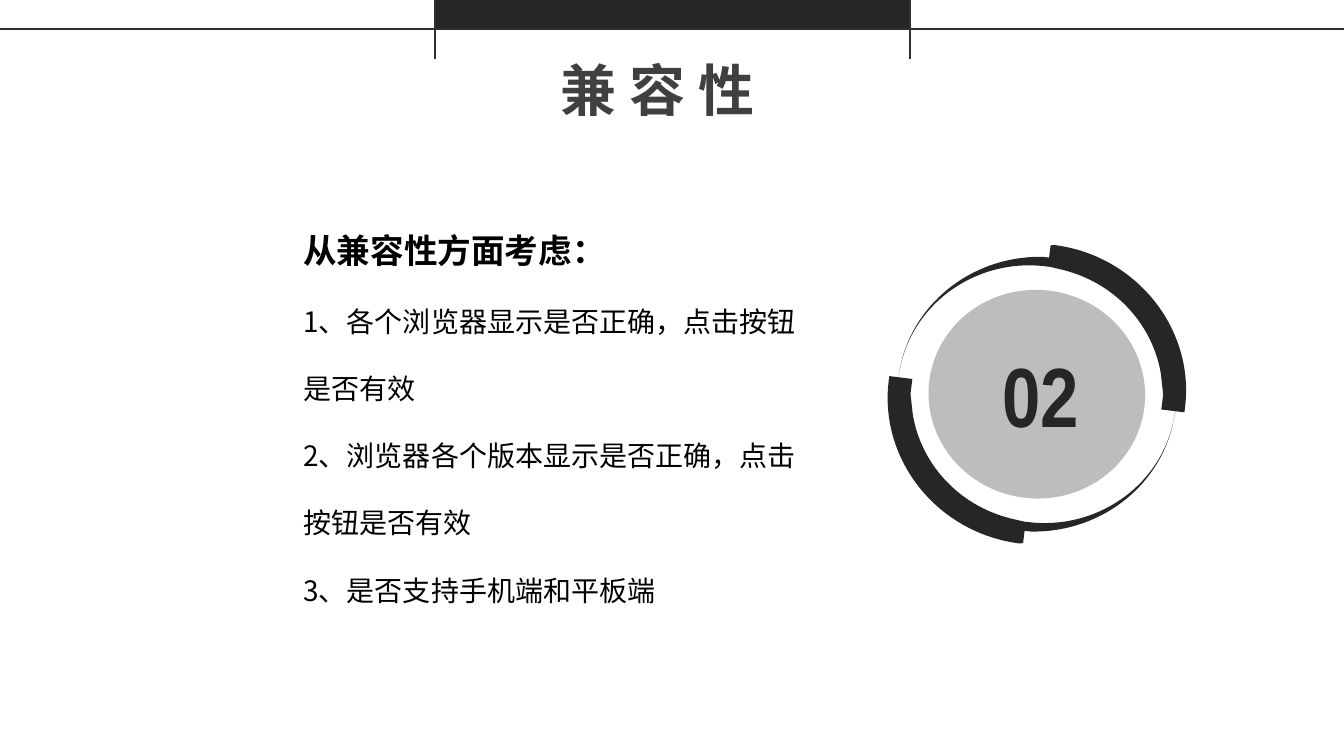
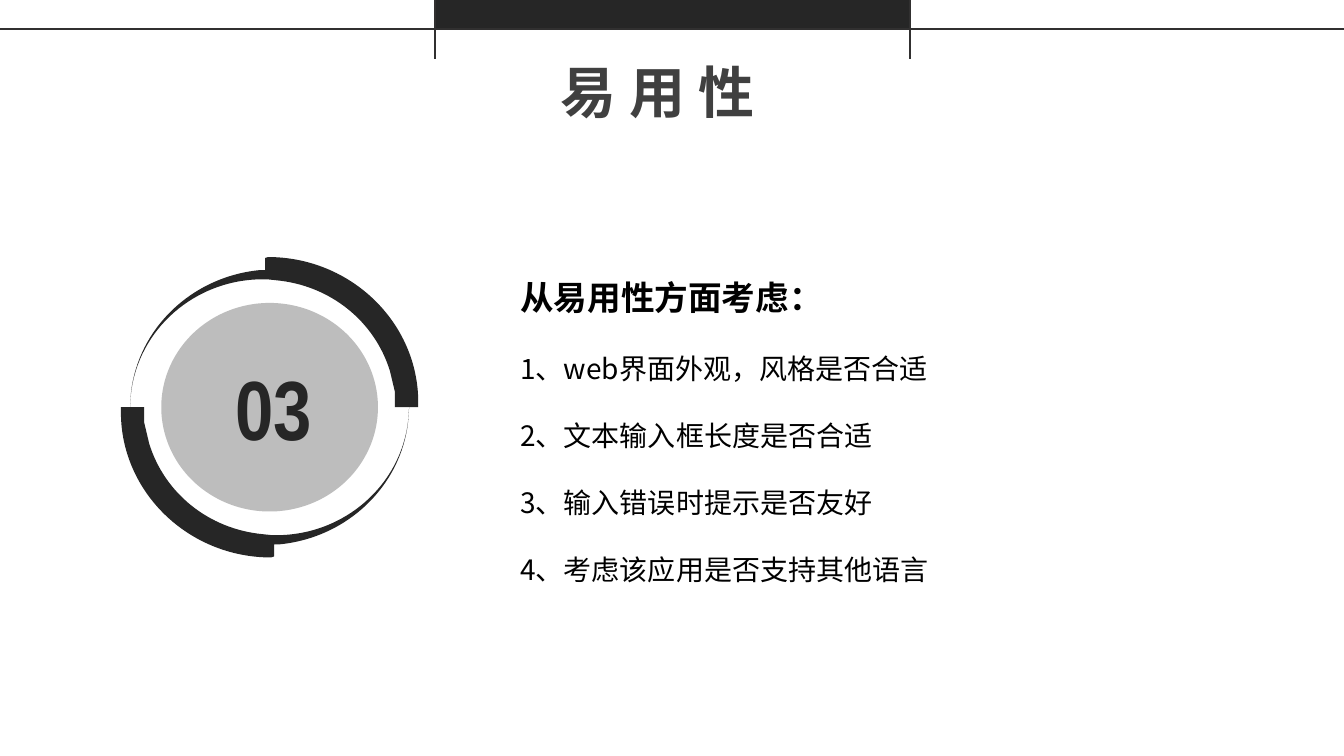
from math import cos, radians, sin

from lxml import etree
from pptx import Presentation
from pptx.dml.color import RGBColor
from pptx.enum.shapes import MSO_CONNECTOR as Connector, MSO_SHAPE as Shape
from pptx.enum.text import MSO_ANCHOR as Anchor, MSO_AUTO_SIZE as AutoSize, PP_ALIGN as Align
from pptx.oxml.ns import qn
from pptx.util import Pt

# Shared look
SLIDE_W, SLIDE_H = 960.12, 540
DARK, RULE, TITLE, BLACK = "262626", "313030", "404040", "000000"
CJK, NARROW = "Noto Sans CJK SC", "Arial Narrow"
BAND_LEFT, BAND_RIGHT, BAND_H = 310.6, 650.4, 21

# Upper arm of the ring, relative to its centre:
# one point is a straight step, three points are a cubic curve
ARM_START = (-1.1, -107.3)
ARM_STEPS = [
    [(58, -107.3), (106.2, -60.5), (106.2, -3.6)],
    [(106.2, 0)], [(89.6, 0)], [(89.6, -2.9)], [(89.6, -10.8)], [(86, -25.9)],
    [(75.2, -61.2), (43.6, -87.1), (4.7, -90.7)],
    [(-1.8, -91.4)], [(-3.2, -91.4)], [(-4.7, -91.4)],
    [(-53.6, -91.4), (-94, -55.4), (-99, -9.4)],
    [(-99.7, 0)], [(-99, -10.1)],
    [(-94, -56.2), (-55.8, -92.9), (-7.6, -97.9)],
    [(-3.2, -97.9)], [(-3.2, -106.6)],
]


def color(hex_string):
    return RGBColor.from_string(hex_string)


def paint(shape, fill, opacity=None):
    shape.shadow.inherit = False
    shape.fill.solid()
    shape.fill.fore_color.rgb = color(fill)
    shape.line.fill.background()
    if opacity is not None:
        tint = shape._element.spPr.find(qn("a:solidFill"))[0]
        etree.SubElement(tint, qn("a:alpha"), val=str(opacity * 1000))


def write(paragraph, text, *, size, font, ink, bold=False, spacing=None):
    paragraph.alignment = Align.LEFT
    if spacing:
        paragraph.line_spacing = spacing
    run = paragraph.add_run()
    run.text = text
    run.font.size, run.font.bold, run.font.name = Pt(size), bold, font
    run.font.color.rgb = color(ink)
    etree.SubElement(run._r.get_or_add_rPr(), qn("a:ea"), typeface=font)


def add_box(slide, left, top, width, height):
    box = slide.shapes.add_textbox(Pt(left), Pt(top), Pt(width), Pt(height))
    box.text_frame.word_wrap = True
    box.text_frame.auto_size = AutoSize.SHAPE_TO_FIT_TEXT
    return box.text_frame


def add_rule(slide, x1, y1, x2, y2):
    rule = slide.shapes.add_connector(Connector.STRAIGHT, Pt(x1), Pt(y1), Pt(x2), Pt(y2))
    rule.line.color.rgb = color(RULE)
    rule.line.width = Pt(1.5)
    etree.SubElement(rule._element.spPr, qn("a:effectLst"))


def add_header(slide, title, top):
    band = slide.shapes.add_shape(Shape.RECTANGLE, Pt(BAND_LEFT), 0,
                                  Pt(BAND_RIGHT - BAND_LEFT), Pt(BAND_H))
    paint(band, DARK)
    add_rule(slide, 0, BAND_H, SLIDE_W, BAND_H)
    for x in (BAND_LEFT, BAND_RIGHT):
        add_rule(slide, x, 0, x, 2 * BAND_H)

    heading = slide.shapes.title
    heading.left, heading.top, heading.width, heading.height = map(Pt, (393.4, top, 174, 55.5))
    frame = heading.text_frame
    frame.word_wrap, frame.vertical_anchor = True, Anchor.TOP
    frame.auto_size = AutoSize.NONE
    write(frame.paragraphs[0], title, size=40, font=CJK, ink=TITLE, bold=True)


def bend(arm):
    """Turn each three-point step of the outline into one cubic curve."""
    lines = iter(arm._element.findall(".//" + qn("a:lnTo")))
    for step in ARM_STEPS:
        corners = [next(lines) for _ in step]
        if len(step) == 3:
            curve = etree.Element(qn("a:cubicBezTo"))
            corners[0].addprevious(curve)
            for corner in corners:
                curve.append(corner[0])
                corner.getparent().remove(corner)


def add_arm(ring, center_x, center_y, side, turn):
    outline = [(Pt(center_x + side * x), Pt(center_y + side * y))
               for x, y in [ARM_START, *(point for step in ARM_STEPS for point in step)]]
    builder = ring.build_freeform(*outline[0])
    builder.add_line_segments(outline[1:], close=True)
    arm = builder.convert_to_shape()
    bend(arm)
    paint(arm, DARK)
    # Swing the arm about the centre of the ring
    dx = arm.left + arm.width / 2 - Pt(center_x)
    dy = arm.top + arm.height / 2 - Pt(center_y)
    c, s = cos(radians(turn)), sin(radians(turn))
    arm.left += round(dx * c - dy * s - dx)
    arm.top += round(dx * s + dy * c - dy)
    arm.rotation = turn


def add_ring(slide, center_x, center_y, number, turn=0):
    ring = slide.shapes.add_group_shape().shapes
    for side in (-1, 1):
        add_arm(ring, center_x, center_y, side, turn)
    # Disc and number
    width, height = 154.8, 149
    disc = ring.add_shape(Shape.OVAL, Pt(center_x - width / 2), Pt(center_y - height / 2),
                          Pt(width), Pt(height))
    disc.rotation = turn
    paint(disc, DARK, opacity=30)
    frame = add_box(slide, center_x - 31.8, center_y - 40, 70.5, 151)
    write(frame.paragraphs[0], number, size=60, font=NARROW, ink=DARK, bold=True)


def add_checklist(slide, left, top, height, lead, items):
    frame = add_box(slide, left, top, 382.3, height)
    write(frame.paragraphs[0], lead, size=24, font=CJK, ink=BLACK, bold=True, spacing=2.0)
    for number, item in enumerate(items, 1):
        write(frame.add_paragraph(), f"{number}、{item}", size=20, font=CJK, ink=BLACK, spacing=2.0)


def main():
    deck = Presentation()
    deck.slide_width, deck.slide_height = Pt(SLIDE_W), Pt(SLIDE_H)
    title_only = deck.slide_layouts[5]

    # Compatibility
    compatibility = deck.slides.add_slide(title_only)
    add_header(compatibility, "兼 容 性", 36)
    add_ring(compatibility, 740.7, 281.6, "02", turn=7)
    add_checklist(compatibility, 209.6, 132.1, 305.3, "从兼容性方面考虑：", [
        "各个浏览器显示是否正确，点击按钮是否有效",
        "浏览器各个版本显示是否正确，点击按钮是否有效",
        "是否支持手机端和平板端",
    ])

    # Usability
    usability = deck.slides.add_slide(title_only)
    add_header(usability, "易 用 性", 37.4)
    add_ring(usability, 192.6, 290.9, "03")
    add_checklist(usability, 364.6, 165.6, 257, "从易用性方面考虑：", [
        "web界面外观，风格是否合适",
        "文本输入框长度是否合适",
        "输入错误时提示是否友好",
        "考虑该应用是否支持其他语言",
    ])

    deck.save("out.pptx")


if __name__ == "__main__":
    main()
